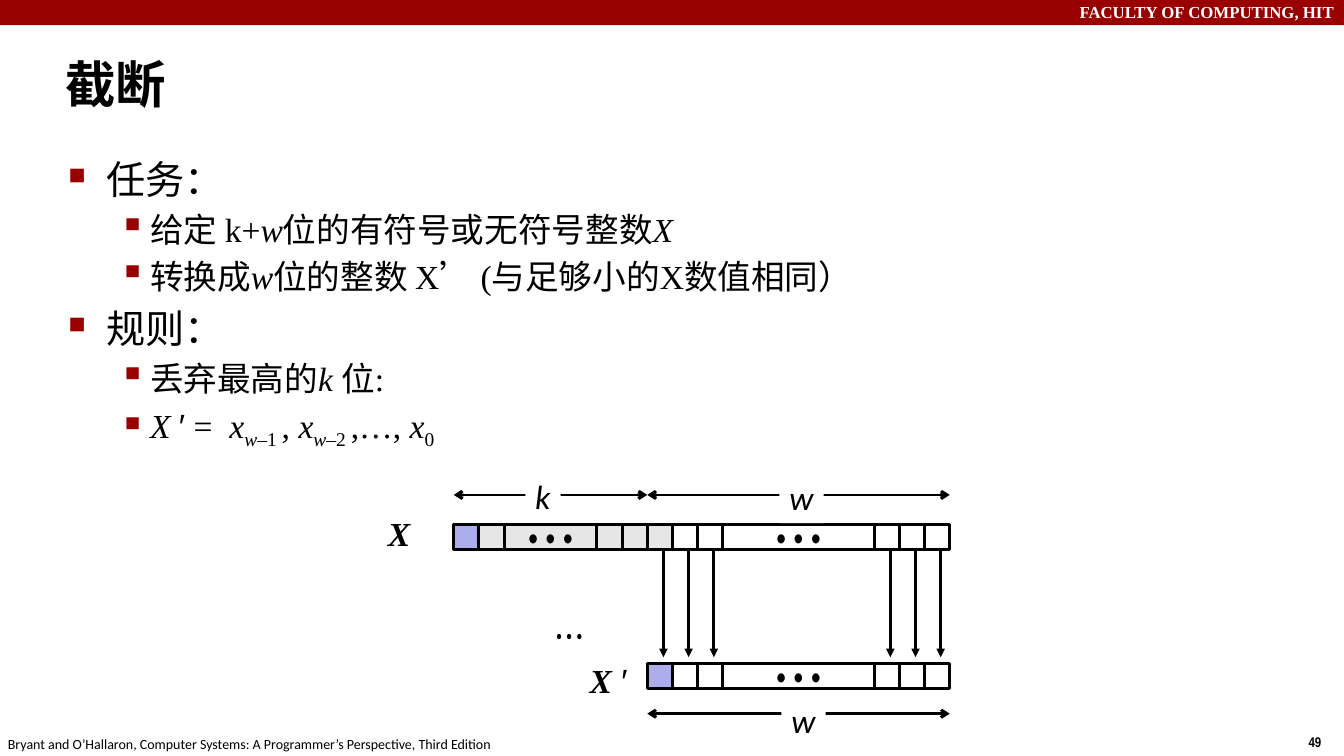
from dataclasses import dataclass

from lxml.etree import SubElement as Sub
from pptx import Presentation
from pptx.dml.color import RGBColor as Rgb
from pptx.enum.shapes import MSO_CONNECTOR as Line, MSO_SHAPE as Kind
from pptx.enum.text import MSO_ANCHOR as Anchor, MSO_AUTO_SIZE as Fit, PP_ALIGN as Align
from pptx.oxml.ns import qn
from pptx.util import Inches, Pt


@dataclass(frozen=True)
class Theme:
    red: str = "990000"
    black: str = "000000"
    white: str = "FFFFFF"
    blue: str = "ADADEB"
    grey: str = "E6E6E6"
    serif: str = "Times New Roman"
    sans: str = "Calibri"
    narrow: str = "Arial Narrow"
    prime: str = "Arial"
    title: int = 36
    head: int = 28
    text: int = 24
    dots: int = 14
    band: int = 12
    foot: int = 10
    stroke: int = 2


class Board:
    def __init__(self, slide, theme):
        self.shapes = slide.shapes
        self.theme = theme

    def fill_par(self, par, runs, size, font, color=None):
        """Add (text, marks) runs; marks: b bold, i italic, s subscript, p prime font."""
        for text, marks in runs:
            run = par.add_run()
            run.text = text
            face = run.font
            face.name = self.theme.prime if "p" in marks else font
            face.size = Pt(size)
            face.bold = "b" in marks
            face.italic = "i" in marks
            face.color.rgb = Rgb.from_string(color or self.theme.black)
            if "s" in marks:
                run.font._element.set("baseline", "-25000")

    def label(self, box, runs, size, font, color=None, fill=None,
              align=Align.LEFT, wrap=False, anchor=Anchor.TOP, fit=Fit.SHAPE_TO_FIT_TEXT):
        shape = self.shapes.add_textbox(*map(Inches, box))
        if fill:
            shape.fill.solid()
            shape.fill.fore_color.rgb = Rgb.from_string(fill)
        frame = shape.text_frame
        frame.word_wrap = wrap
        frame.auto_size = fit
        frame.vertical_anchor = anchor
        par = frame.paragraphs[0]
        par.alignment = align
        self.fill_par(par, runs, size, font, color)

    def rect(self, box, fill, edge=True):
        shape = self.shapes.add_shape(Kind.RECTANGLE, *map(Inches, box))
        shape.shadow.inherit = False
        shape.fill.solid()
        shape.fill.fore_color.rgb = Rgb.from_string(fill)
        if edge:
            shape.line.color.rgb = Rgb.from_string(self.theme.black)
            shape.line.width = Pt(self.theme.stroke)
        else:
            shape.line.fill.background()
        return shape

    def bits(self, left, top, cells):
        """Lay (width, fill) cells side by side; wide ones hold dots."""
        for width, fill in cells:
            shape = self.rect((left, top, width, BIT), fill)
            if width > BIT:
                frame = shape.text_frame
                frame.word_wrap = False
                frame.vertical_anchor = Anchor.MIDDLE
                par = frame.paragraphs[0]
                par.alignment = Align.CENTER
                self.fill_par(par, [(DOTS, "")], self.theme.text, self.theme.narrow)
            left += width

    def arrow(self, start, end, **tips):
        line = self.shapes.add_connector(Line.STRAIGHT, *map(Inches, start + end))
        line.line.color.rgb = Rgb.from_string(self.theme.black)
        line.line.width = Pt(self.theme.stroke)
        stroke = line.line._get_or_add_ln()
        for tip, kind in tips.items():
            Sub(stroke, qn(f"a:{tip}"), type=kind)
        Sub(line._element.spPr, qn("a:effectLst"))

    def span(self, left, right, y, name, box):
        """Draw a two-headed measure with its name over it."""
        self.arrow((left, y), (right, y), headEnd="arrow", tailEnd="arrow")
        self.label(box, [(name, "i")], self.theme.text, self.theme.sans,
                   fill=self.theme.white)

    def points(self, box, items):
        frame = self.shapes.add_textbox(*map(Inches, box)).text_frame
        frame.word_wrap = True
        levels = (
            (self.theme.head, 0.38, 0.38, "■", 60),
            (self.theme.text, 0.81, 0.31, "▪", 110),
        )
        for at, (level, runs) in enumerate(items):
            par = frame.add_paragraph() if at else frame.paragraphs[0]
            size, left, hang, mark, scale = levels[level]
            par.level = level
            par.space_before = Pt(size * 0.2)
            props = par._p.get_or_add_pPr()
            props.set("marL", str(Inches(left)))
            props.set("indent", str(-Inches(hang)))
            Sub(Sub(props, qn("a:buClr")), qn("a:srgbClr"), val=self.theme.red)
            Sub(props, qn("a:buSzPct"), val=str(scale * 1000))
            Sub(props, qn("a:buChar"), char=mark)
            self.fill_par(par, runs, size, self.theme.serif)


BIT = 0.25
DOTS = "•\u00a0•\u00a0•"
LEFT, MID, RIGHT = 4.5, 6.42, 9.42

ITEMS = [
    (0, [("任务：", "")]),
    (1, [("给定 k+", ""), ("w", "i"), ("位的有符号或无符号整数", ""), ("X", "i")]),
    (1, [("转换成", ""), ("w", "i"), ("位的整数 X’ (与足够小的X数值相同）", "")]),
    (0, [("规则：", "")]),
    (1, [("丢弃最高的", ""), ("k ", "i"), ("位:", "")]),
    (1, [("X ", "i"), ("′", "p"), (" =  ", ""), ("x", "i"), ("w", "is"), ("–1 ", "s"),
         (", ", ""), ("x", "i"), ("w", "is"), ("–2 ", "s"), (",…, ", ""),
         ("x", "i"), ("0", "s")]),
]


def main():
    deck = Presentation()
    deck.slide_width, deck.slide_height = Inches(13.33), Inches(7.5)
    theme = Theme()
    board = Board(deck.slides.add_slide(deck.slide_layouts[6]), theme)

    board.rect((0, 0, 13.33, 0.25), theme.red, edge=False)
    board.label((0, -0.03, 13.33, 0.3), [("FACULTY OF COMPUTING, HIT", "b")],
                theme.band, theme.serif, theme.white, align=Align.RIGHT, wrap=True)
    board.label((12.88, 7.23, 0.34, 0.27), [("49", "b")], theme.foot, theme.narrow)
    credit = ("Bryant and O’Hallaron, Computer Systems: "
              "A Programmer’s Perspective, Third Edition")
    board.label((-0.02, 7.25, 5.08, 0.27), [(credit, "")], theme.foot, theme.sans)
    board.label((0.55, 0.41, 12.68, 0.83), [("截断", "b")], theme.title, theme.sans,
                wrap=True, anchor=Anchor.MIDDLE, fit=Fit.NONE)
    board.points((0.58, 1.49, 12.53, 5.76), ITEMS)

    for first in (6.58, 8.83):
        for step in range(3):
            x = first + step * BIT
            board.arrow((x, 5.46), (x, 6.52), tailEnd="triangle")
    board.label((5.42, 6.14, 0.46, 0.34), [(DOTS, "")], theme.dots, theme.narrow)

    blue, grey, white = ((BIT, tone) for tone in (theme.blue, theme.grey, theme.white))
    low = [white] * 2 + [(1.5, theme.white)] + [white] * 3
    high = [blue, grey, (0.92, theme.grey)] + [grey] * 3
    board.bits(LEFT, 5.2, high + low)
    board.bits(MID, 6.58, [blue] + low)

    board.label((3.75, 5.04, 0.43, 0.5), [("X", "bi")], theme.text, theme.serif)
    board.label((5.75, 6.5, 0.68, 0.5), [("X", "bi"), (" ′", "p")],
                theme.text, theme.serif)
    board.span(MID, RIGHT, 7.08, "w", (7.75, 6.89, 0.44, 0.51))
    board.span(MID, RIGHT, 4.91, "w", (7.73, 4.68, 0.44, 0.51))
    board.span(LEFT, MID, 4.91, "k", (5.21, 4.67, 0.35, 0.51))

    deck.save("out.pptx")


if __name__ == "__main__":
    main()
